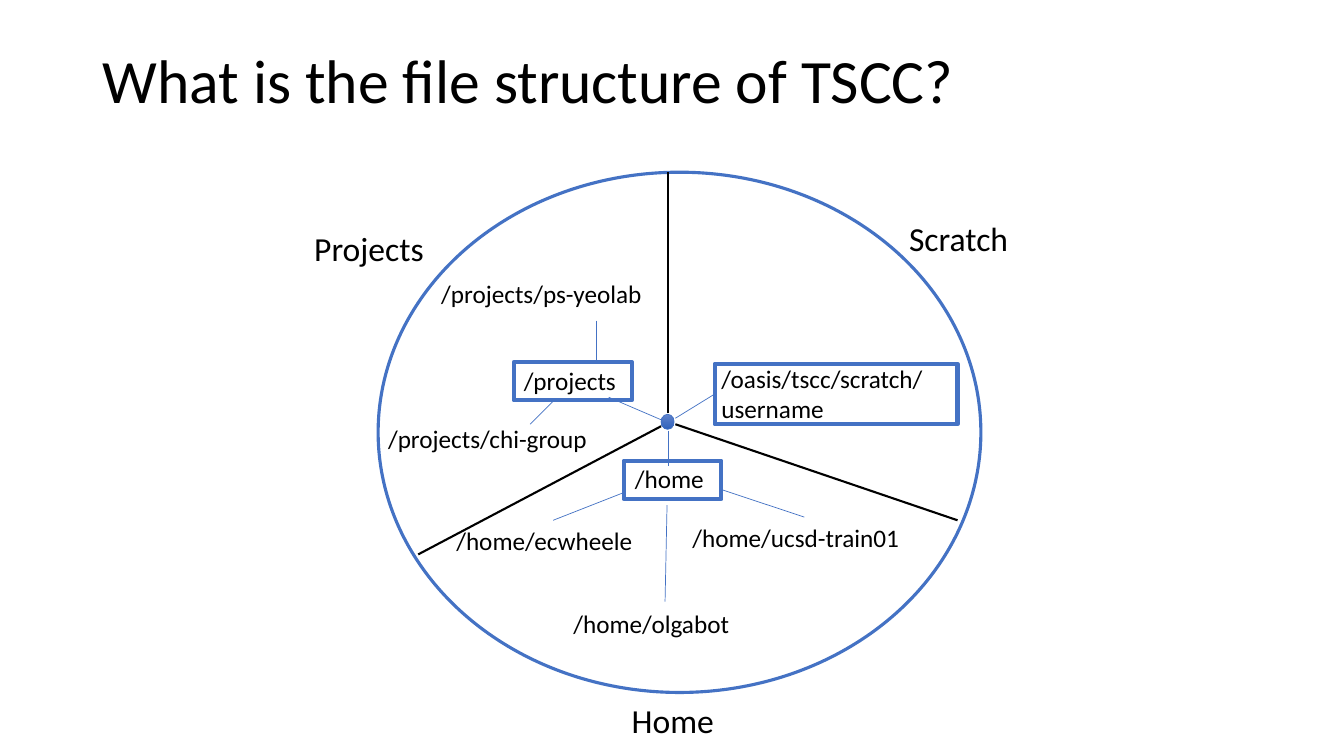
from lxml import etree
from pptx import Presentation, util as u
from pptx.dml.color import RGBColor
from pptx.enum import shapes, text
from pptx.oxml.ns import qn

BLUE = RGBColor(0x44, 0x72, 0xC4)
BLACK = RGBColor(0, 0, 0)
HUB_TOP = RGBColor(0x61, 0x83, 0xCB)
HUB_BOTTOM = RGBColor(0x30, 0x62, 0xBB)
FONT = "Calibri"

deck = Presentation()
deck.slide_width, deck.slide_height = u.Cm(33.87), u.Cm(19.05)
slide = deck.slides.add_slide(deck.slide_layouts[6])


def add_outline(kind, place, weight):
    outline = slide.shapes.add_shape(kind, *map(u.Cm, place))
    outline.shadow.inherit = False
    outline.fill.background()
    outline.line.color.rgb = BLUE
    outline.line.width = u.Pt(weight)
    return outline


def add_label(wording, place, size, anchor=text.MSO_ANCHOR.TOP):
    frame = slide.shapes.add_textbox(*map(u.Cm, place)).text_frame
    for name, value in {"word_wrap": True, "vertical_anchor": anchor}.items():
        setattr(frame, name, value)
    line = frame.paragraphs[0]
    line.text = wording
    for name, value in {"name": FONT, "size": u.Pt(size)}.items():
        setattr(line.runs[0].font, name, value)
    line.runs[0].font.color.rgb = BLACK
    return line


title = add_label("What is the file structure of TSCC?", (2.34, 1.02, 29.21, 2.18), 44,
                  text.MSO_ANCHOR.MIDDLE)
title.line_spacing = 0.9

add_outline(shapes.MSO_SHAPE.OVAL, (9.53, 4.34, 15.19, 13.11), 2.25)

hub = add_outline(shapes.MSO_SHAPE.OVAL, (16.66, 10.44, 0.33, 0.38), 0.5)
hub.fill.gradient()
hub.fill.gradient_angle = 270
for stop, shade in zip(hub.fill.gradient_stops, (HUB_TOP, HUB_BOTTOM)):
    stop.color.rgb = shade

root_frames = {
    root: add_outline(shapes.MSO_SHAPE.RECTANGLE, place, 3)
    for root, place in {
        "projects": (12.95, 9.12, 2.97, 0.97),
        "home": (15.72, 11.61, 2.46, 0.97),
        "scratch": (18.01, 9.17, 6.12, 1.52),
    }.items()
}

dividers = [
    (17.02, 10.69, 24.13, 13.11),
    (10.54, 13.97, 16.66, 10.74),
    (16.84, 10.41, 16.84, 4.34),
]
scratch_branch = (18.01, 9.93, 17.02, 10.54)
branches = [
    scratch_branch,
    (16.84, 10.85, 16.84, 11.73),
    (16.69, 10.59, 15.34, 10.01),
    (15.75, 12.4, 13.94, 13.11),
    (18.19, 12.34, 20.27, 13.03),
    (16.81, 12.73, 16.76, 15.16),
    (15.04, 8.08, 15.04, 9.07),
    (13.94, 10.11, 13.36, 10.69),
]
for routes, colour, weight in ((dividers, BLACK, 1.5), (branches, BLUE, 0.5)):
    for route in routes:
        link = slide.shapes.add_connector(shapes.MSO_CONNECTOR.STRAIGHT, *map(u.Cm, route))
        link.line.color.rgb = colour
        link.line.width = u.Pt(weight)
        etree.SubElement(link._element.spPr, qn("a:effectLst"))
        if route is scratch_branch:
            link.begin_connect(root_frames["scratch"], 1)

for folder, left, top, width, height in (
    ("/projects", 12.95, 9.07, 3.66, 1.02),
    ("/projects/ps-yeolab", 10.87, 6.88, 6.4, 1.02),
    ("/projects/chi-group", 9.53, 10.54, 6.4, 1.02),
    ("/oasis/tscc/scratch/username", 17.93, 9.02, 6.78, 1.8),
    ("/home", 15.75, 11.56, 3.3, 1.02),
    ("/home/ecwheele", 11.25, 13.11, 5.36, 1.02),
    ("/home/olgabot", 14.2, 15.21, 4.85, 1.02),
    ("/home/ucsd-train01", 17.2, 13.03, 6.58, 1.02),
):
    add_label(folder, (left, top, width, height), 18)

for area, left, top in (("Projects", 7.67, 5.61), ("Scratch", 22.66, 5.36), ("Home", 15.67, 17.5)):
    add_label(area, (left, top, 3.56, 1.27), 24)

deck.save("out.pptx")
